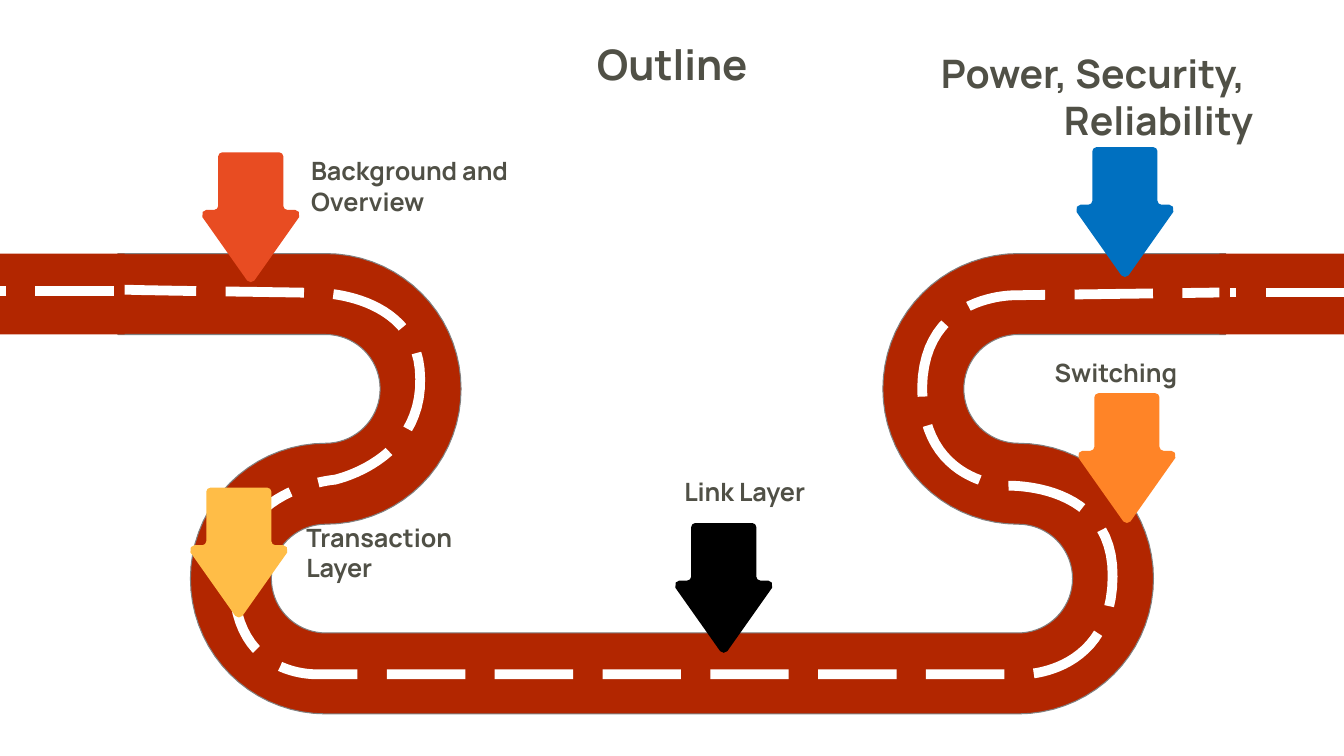
from math import cos, radians, sin

from lxml import etree
from pptx import Presentation
from pptx.dml.color import RGBColor
from pptx.enum.dml import MSO_LINE
from pptx.enum.shapes import MSO_CONNECTOR, MSO_SHAPE
from pptx.enum.text import MSO_ANCHOR, PP_ALIGN
from pptx.oxml.ns import qn
from pptx.util import Cm, Pt

DASH = MSO_LINE.LONG_DASH
STRAIGHT = MSO_CONNECTOR.STRAIGHT
RECT = MSO_SHAPE.RECTANGLE
TOP, BOTTOM = MSO_ANCHOR.TOP, MSO_ANCHOR.BOTTOM
LEFT, MID, RIGHT = PP_ALIGN.LEFT, PP_ALIGN.CENTER, PP_ALIGN.RIGHT

FONT, INK, ROAD, EDGE, WHITE = "Manrope", "505046", "B22600", "808080", "FFFFFF"
WIDE, HIGH = 33.87, 19.05

LABELS = [
    (["Outline"], 14.68, 0.84, 4.52, 1.55, 30, MID, TOP),
    (["Switching"], 26.14, 8.86, 3.78, 1.02, 18, RIGHT, BOTTOM),
    (["Background and Overview"], 7.59, 4.55, 7.49, 1.02, 18, LEFT, BOTTOM),
    (["Link Layer"], 16.76, 11.86, 3.78, 1.02, 18, RIGHT, BOTTOM),
    (["Transaction Layer"], 7.47, 13.79, 5.13, 1.02, 18, LEFT, BOTTOM),
    (["Power, Security, ", "Reliability"], 22.89, 1.09, 8.94, 2.64, 28, RIGHT, BOTTOM),
]
ARROWS = [
    (6.32, 3.84, "E84C22"),
    (6.02, 12.29, "FFBD47"),
    (18.24, 13.18, "000000"),
    (28.4, 9.91, "FF8427"),
    (28.35, 3.71, "0070C0"),
]
HALF = [
    (0.72, 0), (0.79, 0.03), (0.82, 0.1), (0.82, 1.35), (0.85, 1.42), (0.92, 1.45),
    (1.12, 1.45), (1.21, 1.5), (1.22, 1.63), (0.09, 3.23), (0, 3.27),
]

WEST, EAST, UPPER, LOWER = 8.21, 25.66, 9.8, 14.58
OUTER, INNER = 3.41, 1.37
START, END = 2.97, 30.89
BENDS = [
    [
        (WEST, UPPER, OUTER, -90, 90),
        (WEST, LOWER, INNER, 270, 90),
        (EAST, LOWER, INNER, 90, -90),
        (EAST, UPPER, OUTER, 90, 270),
    ],
    [
        (EAST, UPPER, INNER, 270, 90),
        (EAST, LOWER, OUTER, -90, 90),
        (WEST, LOWER, OUTER, 90, 270),
        (WEST, UPPER, INNER, 90, -90),
    ],
]
LANE = [
    ((3, 7.32), (8.15, 7.37), (8.15, 7.39)),
    ((8.18, 7.39), (10.59, 7.47), (10.59, 9.55)),
    ((10.62, 11.63), (8.43, 12.09), (8.43, 12.09)),
    ((8.43, 12.09), (5.84, 12.29), (5.89, 14.68)),
    ((5.92, 17.07), (7.95, 16.99), (7.98, 16.99)),
    ((8.03, 16.99), (25.76, 16.99), (25.83, 16.99)),
    ((25.88, 16.99), (28.02, 16.94), (28.04, 14.53)),
    ((28.07, 12.14), (25.4, 12.24), (25.37, 12.24)),
    ((25.37, 12.24), (23.24, 12.19), (23.24, 9.78)),
    ((23.27, 7.37), (25.6, 7.44), (25.63, 7.44)),
    ((25.65, 7.44), (30.89, 7.37), (30.89, 7.37)),
]
STUBS = [0, 30.73]
STRIPES = [(2.87, 0, 7.34), (WIDE, 31, 7.37)]

deck = Presentation()
deck.slide_width, deck.slide_height = Cm(WIDE), Cm(HIGH)
shapes = deck.slides.add_slide(deck.slide_layouts[6]).shapes


def tint(fmt, code):
    fmt.solid()
    fmt.fore_color.rgb = RGBColor.from_string(code)


def stroke(line, code, width, dash=None):
    tint(line.fill, code)
    line.width = Pt(width)
    if dash:
        line.dash_style = dash


def outline(points, close=True):
    grid = [(round(x * 1000), round(y * 1000)) for x, y in points]
    pen = shapes.build_freeform(*grid[0], scale=Cm(1) / 1000)
    pen.add_line_segments(grid[1:], close=close)
    form = pen.convert_to_shape()
    form.shadow.inherit = False
    return form


def arc(x, y, size, first, last, steps=36):
    turns = [radians(first + (last - first) * i / steps) for i in range(steps + 1)]
    return [(x + size * cos(t), y + size * sin(t)) for t in turns]


def curve(a, b, c, d, steps=24):
    spots = []
    for i in range(1, steps + 1):
        t = i / steps
        s = 1 - t
        parts = (s ** 3, 3 * s * s * t, 3 * s * t * t, t ** 3)
        spots.append(tuple(sum(k * p[n] for k, p in zip(parts, (a, b, c, d))) for n in (0, 1)))
    return spots


def label(lines, x, y, w, h, size, align, anchor):
    frame = shapes.add_textbox(Cm(x), Cm(y), Cm(w), Cm(h)).text_frame
    frame.word_wrap = True
    frame.vertical_anchor = anchor
    para = frame.paragraphs[0]
    para.alignment = align
    for i, text in enumerate(lines):
        if i:
            para.add_line_break()
        run = para.add_run()
        run.text = text
        run.font.name, run.font.size, run.font.bold = FONT, Pt(size), True
        tint(run.font.fill, INK)


ahead, back = [[p for bend in side for p in arc(*bend)] for side in BENDS]
rim, kerb = UPPER - OUTER, UPPER - INNER
road = outline([(START, rim), *ahead, (END, rim), (END, kerb), *back, (START, kerb)])
tint(road.fill, ROAD)
stroke(road.line, EDGE, 0.75)

track = [(START, 7.29)]
for bend in LANE:
    track += curve(track[-1], *bend)
lane = outline(track, close=False)
lane.fill.background()
stroke(lane.line, WHITE, 7, DASH)

for x, y, code in ARROWS:
    sides = HALF + [(-a, b) for a, b in HALF[-2::-1]]
    arrow = outline([(x + a, y + b) for a, b in sides])
    tint(arrow.fill, code)
    arrow.line.fill.background()

for x in STUBS:
    stub = shapes.add_shape(RECT, Cm(x), Cm(rim), Cm(3.14), Cm(kerb - rim))
    stub.shadow.inherit = False
    tint(stub.fill, ROAD)
    stub.line.fill.background()

for x, to, y in STRIPES:
    stripe = shapes.add_connector(STRAIGHT, Cm(x), Cm(y), Cm(to), Cm(y))
    etree.SubElement(stripe._element.spPr, qn("a:effectLst"))
    stroke(stripe.line, WHITE, 7, DASH)

for item in LABELS:
    label(*item)

deck.save("out.pptx")
